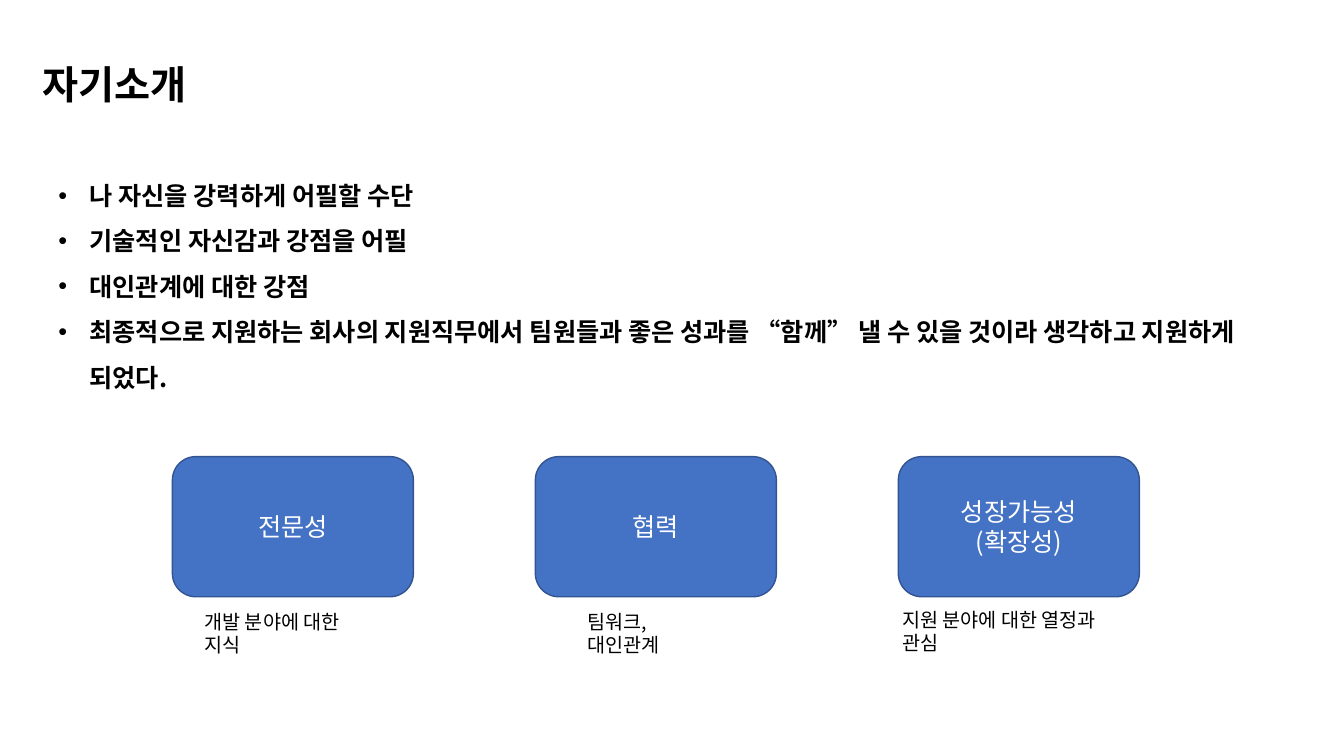
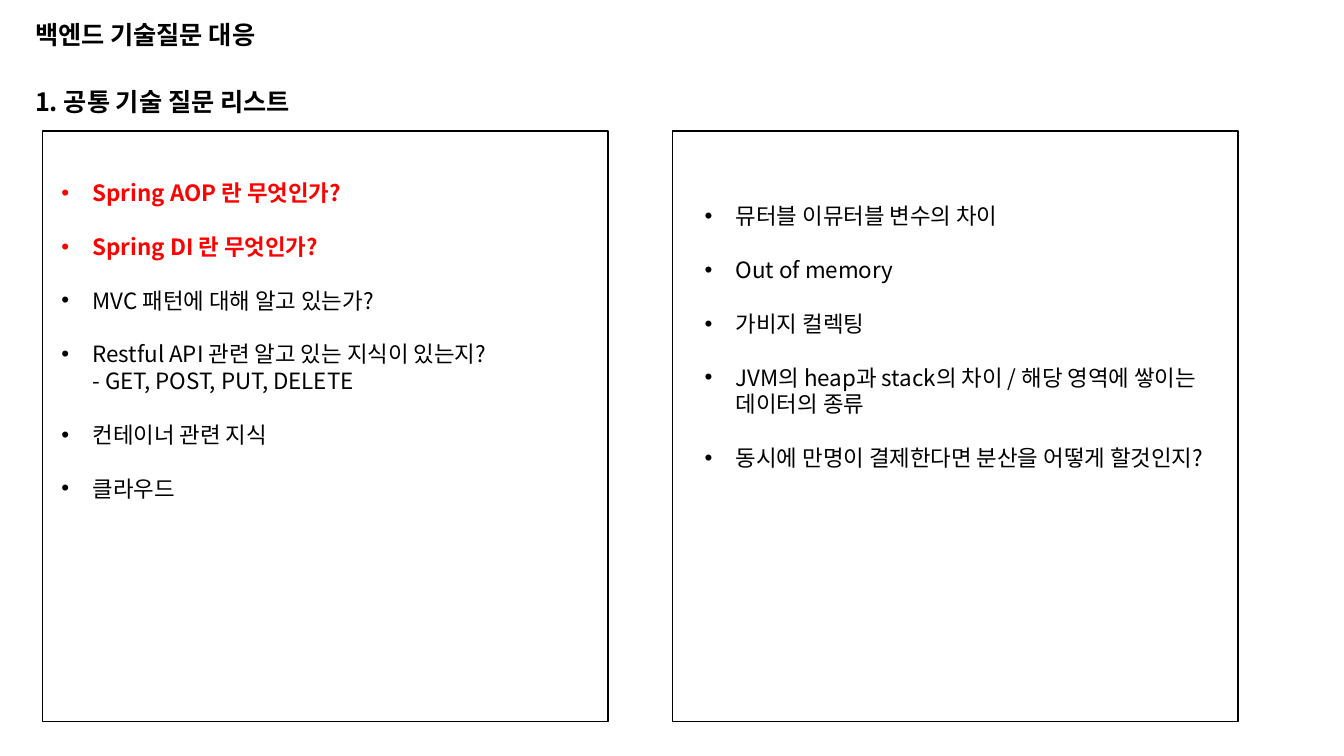
import pptx
import pptx.util
import pptx.dml.color
import pptx.enum.shapes
import pptx.enum.text
import pptx.oxml
import pptx.oxml.ns
from dataclasses import dataclass


@dataclass(frozen=True)
class Theme:
    font: str = "Noto Sans CJK KR"
    ink: str = "000000"
    paper: str = "FFFFFF"
    hot: str = "FF0000"
    card: str = "4472C4"
    edge: str = "325491"
    title: int = 28
    head: int = 18
    item: int = 16
    note: int = 14
    lead: float = 1.2


T = Theme()
PX = 9144  # 100 px to the inch
RGB = pptx.dml.color.RGBColor.from_string
SHAPE = pptx.enum.shapes.MSO_SHAPE
ALIGN = pptx.enum.text.PP_ALIGN


def write(text, slide=None, at=None, shape=None, size=T.head, color=T.ink,
          bold=False, align=ALIGN.LEFT, bullet=False, lines=1, gap=0, hot=0):
    """Write one paragraph per line of text; the first `hot` ones stand out."""
    if shape is None:
        shape = slide.shapes.add_textbox(*[v * PX for v in at])
    frame = shape.text_frame
    frame.word_wrap = True
    for n, line in enumerate(text.split("\n")):
        para = frame.paragraphs[0] if n == 0 else frame.add_paragraph()
        para.text = line  # \v is a line break
        para.alignment = align
        para.line_spacing = pptx.util.Pt(round(size * T.lead * lines, 1))
        para.space_before = pptx.util.Pt(gap if n else 0)
        if bullet:
            props = para._p.get_or_add_pPr()
            props.set("marL", str(31 * PX))
            props.set("indent", str(-31 * PX))
            ns = pptx.oxml.ns.nsdecls("a")
            for tag in ('buFont {} typeface="Arial"', 'buChar {} char="•"'):
                props.append(pptx.oxml.parse_xml(f"<a:{tag.format(ns)}/>"))
        for run in para.runs:
            font = run.font
            font.size = pptx.util.Pt(size)
            font.bold = bold or n < hot
            font.color.rgb = RGB(T.hot if n < hot else color)
            font.name = T.font
            east = pptx.oxml.parse_xml(
                f'<a:ea {pptx.oxml.ns.nsdecls("a")} typeface="{T.font}"/>')
            font._element.append(east)


def block(slide, kind, at, line, fill=None):
    """Draw a flat shape with a 1 pt outline."""
    shape = slide.shapes.add_shape(kind, *[v * PX for v in at])
    shape.shadow.inherit = False
    if fill:
        shape.fill.solid()
        shape.fill.fore_color.rgb = RGB(fill)
    else:
        shape.fill.background()
    shape.line.color.rgb = RGB(line)
    shape.line.width = pptx.util.Pt(1)
    return shape


deck = pptx.Presentation()
deck.slide_width, deck.slide_height = 1333 * PX, 750 * PX
blank = deck.slide_layouts[6]

# Slide 1: about me
slide = deck.slides.add_slide(blank)
write("자기소개", slide=slide, at=(32, 55, 466, 57), size=T.title, bold=True)
points = [
    "나 자신을 강력하게 어필할 수단",
    "기술적인 자신감과 강점을 어필",
    "대인관계에 대한 강점",
    "최종적으로 지원하는 회사의 지원직무에서 팀원들과 좋은 성과를 “함께” "
    "낼 수 있을 것이라 생각하고 지원하게 되었다.",
]
write("\n".join(points), slide=slide, at=(48, 159, 1238, 188),
      bold=True, bullet=True, lines=1.5)

# Strength cards with their captions
cards = [
    ("전문성", "개발 분야에 대한 지식", (193, 600, 180, 34)),
    ("협력", "팀워크, 대인관계", (573, 600, 150, 34)),
    ("성장가능성\n(확장성)", "지원 분야에 대한 열정과 관심", (885, 598, 245, 34)),
]
for n, (name, note, at) in enumerate(cards):
    card = block(slide, SHAPE.ROUNDED_RECTANGLE,
                 (171 + n * 360, 453, 239, 139), T.edge, T.card)
    write(name, shape=card, color=T.paper, align=ALIGN.CENTER)
    write(note, slide=slide, at=at, size=T.note)

# Slide 2: question lists
slide = deck.slides.add_slide(blank)
for text, top in (("백엔드 기술질문 대응", 14), ("1. 공통 기술 질문 리스트", 81)):
    write(text, slide=slide, at=(25, top, 466, 40), bold=True)

left = [
    "Spring AOP 란 무엇인가?",
    "Spring DI 란 무엇인가?",
    "MVC 패턴에 대해 알고 있는가?",
    "Restful API 관련 알고 있는 지식이 있는지?\v- GET, POST, PUT, DELETE",
    "컨테이너 관련 지식",
    "클라우드",
]
right = [
    "뮤터블 이뮤터블 변수의 차이",
    "Out of memory",
    "가비지 컬렉팅",
    "JVM의 heap과 stack의 차이 / 해당 영역에 쌓이는 데이터의 종류",
    "동시에 만명이 결제한다면 분산을 어떻게 할것인지?",
]
panels = [
    (42, left, (51, 173, 488, 374), 2),
    (667, right, (689, 196, 515, 316), 0),
]
for x, items, at, hot in panels:
    block(slide, SHAPE.RECTANGLE, (x, 130, 561, 586), T.ink)
    write("\n".join(items), slide=slide, at=at, size=T.item,
          bullet=True, gap=T.item * T.lead, hot=hot)

deck.save("out.pptx")
